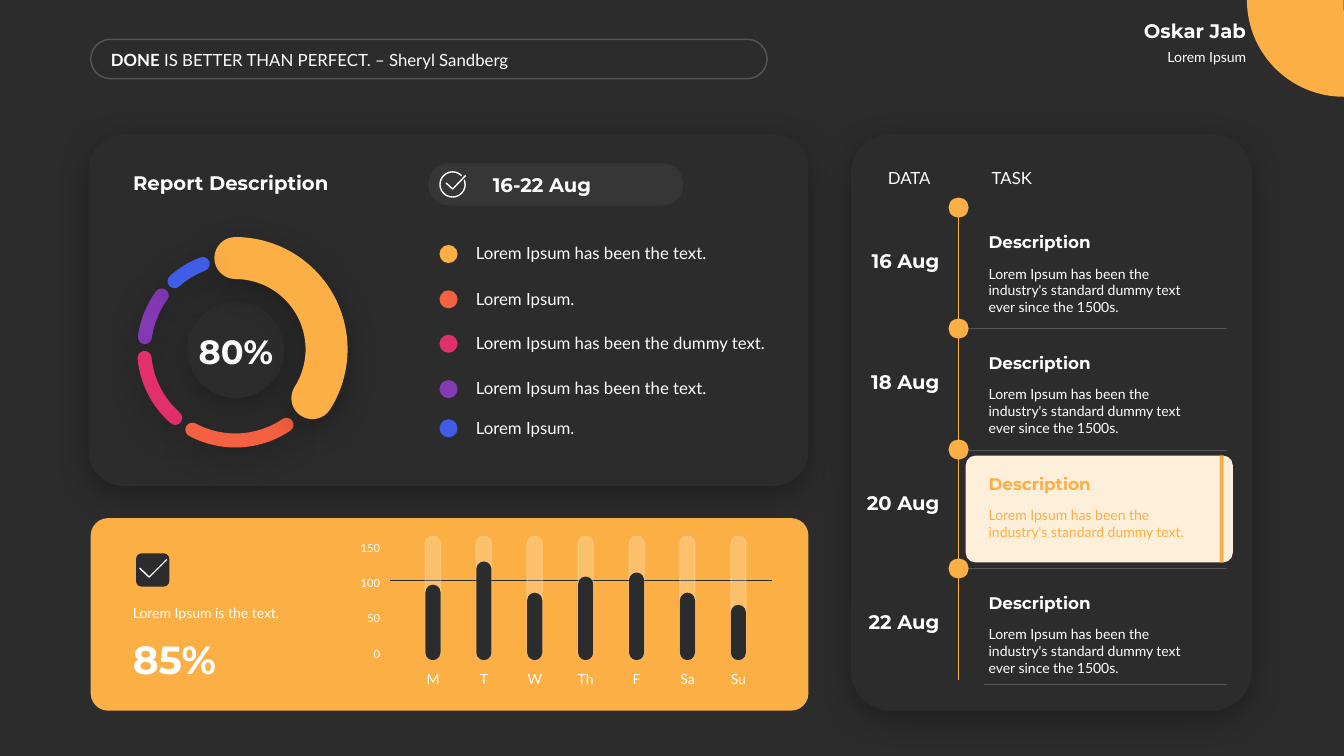
from lxml import etree
from pptx import Presentation
from pptx.dml.color import RGBColor
from pptx.enum.shapes import MSO_CONNECTOR, MSO_SHAPE
from pptx.enum.text import MSO_ANCHOR, MSO_AUTO_SIZE, PP_ALIGN
from pptx.oxml.ns import qn
from pptx.util import Inches, Pt

ARC, OVAL = MSO_SHAPE.ARC, MSO_SHAPE.OVAL
RECT, ROUND = MSO_SHAPE.RECTANGLE, MSO_SHAPE.ROUNDED_RECTANGLE
TOP, MID, LOW = MSO_ANCHOR.TOP, MSO_ANCHOR.MIDDLE, MSO_ANCHOR.BOTTOM
LEFT, MIDDLE, RIGHT = PP_ALIGN.LEFT, PP_ALIGN.CENTER, PP_ALIGN.RIGHT
FIT, FIXED = MSO_AUTO_SIZE.SHAPE_TO_FIT_TEXT, MSO_AUTO_SIZE.NONE
STRAIGHT = MSO_CONNECTOR.STRAIGHT

COLORS = {
    "dark": "2C2C2C", "white": "FFFFFF", "gold": "FCAF45", "cream": "FEEFDA",
    "coral": "F56040", "pink": "E1306C", "violet": "833AB4", "blue": "405DE6",
}
COLS, ROWS = 133.33, 75
CELL = Inches(0.1)  # side of one grid cell


def grid(*cells):
    return [round(n * CELL) for n in cells]


def rgb(name):
    return RGBColor.from_string(COLORS[name])


class Board:
    """Style and slide; every length is in grid columns and rows."""

    def __init__(self, deck):
        self.slide = deck.slides.add_slide(deck.slide_layouts[1])
        self.shapes = self.slide.shapes
        fill = self.slide.background.fill
        fill.solid()
        fill.fore_color.rgb = rgb("dark")

    def paint(self, shape, fill=None, line=None, width=1, alpha=None):
        if fill:
            shape.fill.solid()
            shape.fill.fore_color.rgb = rgb(fill)
        else:
            shape.fill.background()
        if line:
            self.stroke(shape, line, width)
        else:
            shape.line.fill.background()
        self.fade(shape, alpha)
        shape.shadow.inherit = False

    def stroke(self, shape, color, width):
        shape.line.color.rgb = rgb(color)
        shape.line.width = Pt(width)

    def fade(self, shape, alpha):
        if alpha:
            for node in shape.element.spPr.iter(qn("a:srgbClr")):
                etree.SubElement(node, qn("a:alpha"), val=str(alpha * 1000))

    def glow(self, shape):
        effects = shape.element.spPr.find(qn("a:effectLst"))
        outer = etree.SubElement(
            effects, qn("a:outerShdw"), blurRad=str(Pt(23)), dist=str(Pt(6)),
            dir="5400000", algn="t", rotWithShape="0")
        tone = etree.SubElement(outer, qn("a:srgbClr"), val="000000")
        etree.SubElement(tone, qn("a:alpha"), val="30000")

    def shape(self, kind, box, fill=None, adj=(), glow=False, **look):
        item = self.shapes.add_shape(kind, *grid(*box))
        for i, value in enumerate(adj):
            item.adjustments[i] = value
        self.paint(item, fill, **look)
        if glow:
            self.glow(item)
        return item

    def arc(self, box, start, end, color, width, glow=False):
        # Arc adjustments count 0.6 per degree
        item = self.shape(ARC, box, adj=(start * 0.6, end * 0.6),
                          line=color, width=width, glow=glow)
        item.element.spPr.find(qn("a:ln")).set("cap", "rnd")

    def tick(self, points, width):
        first, *rest = [grid(*point) for point in points]
        pen = self.shapes.build_freeform(*first)
        pen.add_line_segments(rest, close=False)
        self.paint(pen.convert_to_shape(), line="white", width=width)

    def line(self, start, end, color, alpha=None):
        item = self.shapes.add_connector(STRAIGHT, *grid(*start, *end))
        self.stroke(item, color, 0.5)
        self.fade(item, alpha)
        etree.SubElement(item.element.spPr, qn("a:effectLst"))

    def style(self, para, size, font, color, bold, align):
        para.alignment = align
        para.font.size, para.font.name = Pt(size), font
        para.font.bold = bold
        para.font.color.rgb = rgb(color)

    def text(self, box, words, size, bold=False, color="white", align=LEFT,
             anchor=TOP, side=1):
        item = self.shapes.add_textbox(*grid(*box))
        frame = item.text_frame
        frame.word_wrap, frame.auto_size = True, FIT
        frame.vertical_anchor = anchor
        frame.margin_left = frame.margin_right = grid(side)[0]
        para = frame.paragraphs[0]
        para.text = words
        self.style(para, size, "Montserrat" if bold else "Lato", color, bold, align)
        return para

    def holder(self, index, box, anchor):
        item = self.slide.placeholders[index]
        item.left, item.top, item.width, item.height = grid(*box)
        self.shapes.element.append(item.element)  # bring to the front
        item.text_frame.auto_size = FIXED
        item.text_frame.vertical_anchor = anchor
        return item.text_frame

    def title(self, box, words):
        frame = self.holder(0, box, LOW)
        frame.text = words
        self.style(frame.paragraphs[0], 14, "Montserrat", "white", True, LEFT)

    def list(self, box, lines, tops):
        frame = self.holder(1, box, TOP)
        frame.text = "\n".join(lines)
        last = tops[0] - 2
        for para, top in zip(frame.paragraphs, tops):
            self.style(para, 12, "Lato", "white", False, LEFT)
            # Row pitch less the height of one text line
            para.space_before = Pt(round((top - last) * 7.2 - 14.4, 1))
            last = top
            props = para._p.get_or_add_pPr()
            props.set("marL", "0")
            props.set("indent", "0")
            props.insert_element_before(
                etree.Element(qn("a:buNone")), "a:tabLst", "a:defRPr", "a:extLst")


def header(b):
    b.shape(ARC, (123.7, -9.6, 19.2, 19.2), "gold", adj=(53.78, 108.27))
    b.text((101.4, 4.3, 23.2, 2.7), "Lorem Ipsum", 10, align=RIGHT)
    b.text((101.4, 1.3, 23.2, 3.4), "Oskar Jab", 14, True, align=RIGHT, anchor=LOW)
    b.shape(ROUND, (9, 3.9, 67.1, 3.9), adj=(0.5,), line="white", alpha=20)
    quote = b.text((10.6, 4.4, 56.4, 3), "DONE", 12, anchor=MID, side=0.4)
    quote.runs[0].font.bold = True
    quote.add_run().text = " IS BETTER THAN PERFECT. – Sheryl Sandberg"


def report(b):
    b.shape(ROUND, (8.8, 13.3, 71.4, 34.9), "dark", adj=(0.1,), glow=True)
    b.title((12.2, 16.4, 28, 3.4), "Report Description")
    # Week pill
    b.shape(ROUND, (42.5, 16.2, 25.3, 4.2), "white", adj=(0.5,), alpha=5)
    b.arc((43.65, 17.05, 2.5, 2.5), 340, 315, "white", 1)
    b.tick([(44.25, 18.15), (44.9, 18.75), (46.2, 17.4)], 1)
    b.text((47.9, 16.6, 18.8, 3.4), "16-22 Aug", 14, True, anchor=MID)
    # Ring
    b.shape(OVAL, (18.6, 29.9, 9.6, 9.6), "dark", glow=True)
    b.text((18, 32.3, 10.8, 5), "80%", 24, True, align=MIDDLE, anchor=LOW)
    for start, end, color, width in (
            (187.68, 216.15, "violet", 10), (131.19, 174.5, "pink", 10),
            (55.91, 118.1, "coral", 10), (270, 32.43, "gold", 30),
            (228.21, 249.04, "blue", 10)):
        b.arc((14.3, 25.6, 18.1, 18.1), start, end, color, width, glow=True)
    # Legend
    tops = (24.3, 28.8, 33.2, 37.7, 41.6)
    for top, color in zip(tops, ("gold", "coral", "pink", "violet", "blue")):
        b.shape(OVAL, (43.6, top, 1.8, 1.8), color)
    short, full = "Lorem Ipsum.", "Lorem Ipsum has been the text."
    b.list((46.2, 23.6, 31.6, 20.3),
           (full, short, "Lorem Ipsum has been the dummy text.", full, short), tops)


def week(b):
    b.shape(ROUND, (9, 51.4, 71.2, 19.1), "gold", adj=(0.09,))
    b.shape(ROUND, (13.5, 54.9, 3.3, 3.3), "dark")
    b.text((12.2, 59.4, 18.8, 2.7), "Lorem Ipsum is the text.", 10, anchor=LOW)
    b.text((12.2, 62.5, 18.8, 5.7), "85%", 28, True)
    b.tick([(13.85, 56.35), (14.8, 57.25), (16.55, 55.5)], 1)
    # Rounded day bars over pale tracks
    b.line((38.7, 57.6), (76.6, 57.6), "dark")
    for i in range(4):
        b.text((33.8, 63.7 - 3.5 * i, 4.9, 2.4), str(50 * i), 8, align=RIGHT)
    days = {"M": 7.5, "T": 9.8, "W": 6.7, "Th": 8.3, "F": 8.7, "Sa": 6.7, "Su": 5.5}
    base = 65.5
    for i, (day, high) in enumerate(days.items()):
        x = 42.2 + 5.05 * i
        b.shape(ROUND, (x, base - 12.3, 1.5, 12.3), "white", adj=(0.5,),
                line="white", alpha=20)
        b.shape(ROUND, (x, base - high, 1.5, high), "dark", adj=(0.5,))
        b.text((x - 1.2, 66, 3.9, 2.7), day, 10, align=MIDDLE, side=0)


def tasks(b):
    b.shape(ROUND, (84.4, 13.3, 39.8, 57.2), "dark", adj=(0.1,), glow=True)
    b.shape(ROUND, (95.8, 45.2, 26.5, 10.6), "cream", adj=(0.09,))
    b.text((97.4, 16.1, 17.6, 3), "TASK", 12, anchor=MID)
    b.text((85.1, 16.1, 8.2, 3), "DATA", 12, align=RIGHT, anchor=MID)
    # Timeline: date, dot row, rule row, rule start, highlight
    start = "Lorem Ipsum has been the industry's standard dummy text"
    for date, top, rule, left, lit in (
            ("16 Aug", 19.6, 32.6, 96.1, False), ("18 Aug", 31.6, 44.7, 96.1, False),
            ("20 Aug", 43.6, 56.4, 96.1, True), ("22 Aug", 55.4, 67.9, 97.6, False)):
        color = "gold" if lit else "white"
        b.line((95.1, top + 1.4), (95.1, top + 12.1), "gold")
        b.shape(OVAL, (94.1, top, 2, 2), "gold")
        b.text((85.2, top + 4.55, 8.4, 3.4), date, 14, True, align=RIGHT,
               anchor=LOW, side=0.4)
        b.text((97.1, top + 6.2, 23.7, 4.4 if lit else 6.1),
               start + ("." if lit else " ever since the 1500s."), 10, color=color)
        b.text((97.1, top + 2.9, 23.7, 3), "Description", 12, True, color, anchor=LOW)
        b.line((left, rule), (121.7, rule), "white", alpha=20)
    b.shape(RECT, (121, 45.2, 0.4, 10.6), "gold")


def main():
    deck = Presentation()
    deck.slide_width, deck.slide_height = grid(COLS, ROWS)
    board = Board(deck)
    for part in (header, report, week, tasks):
        part(board)
    deck.save("out.pptx")


if __name__ == "__main__":
    main()
